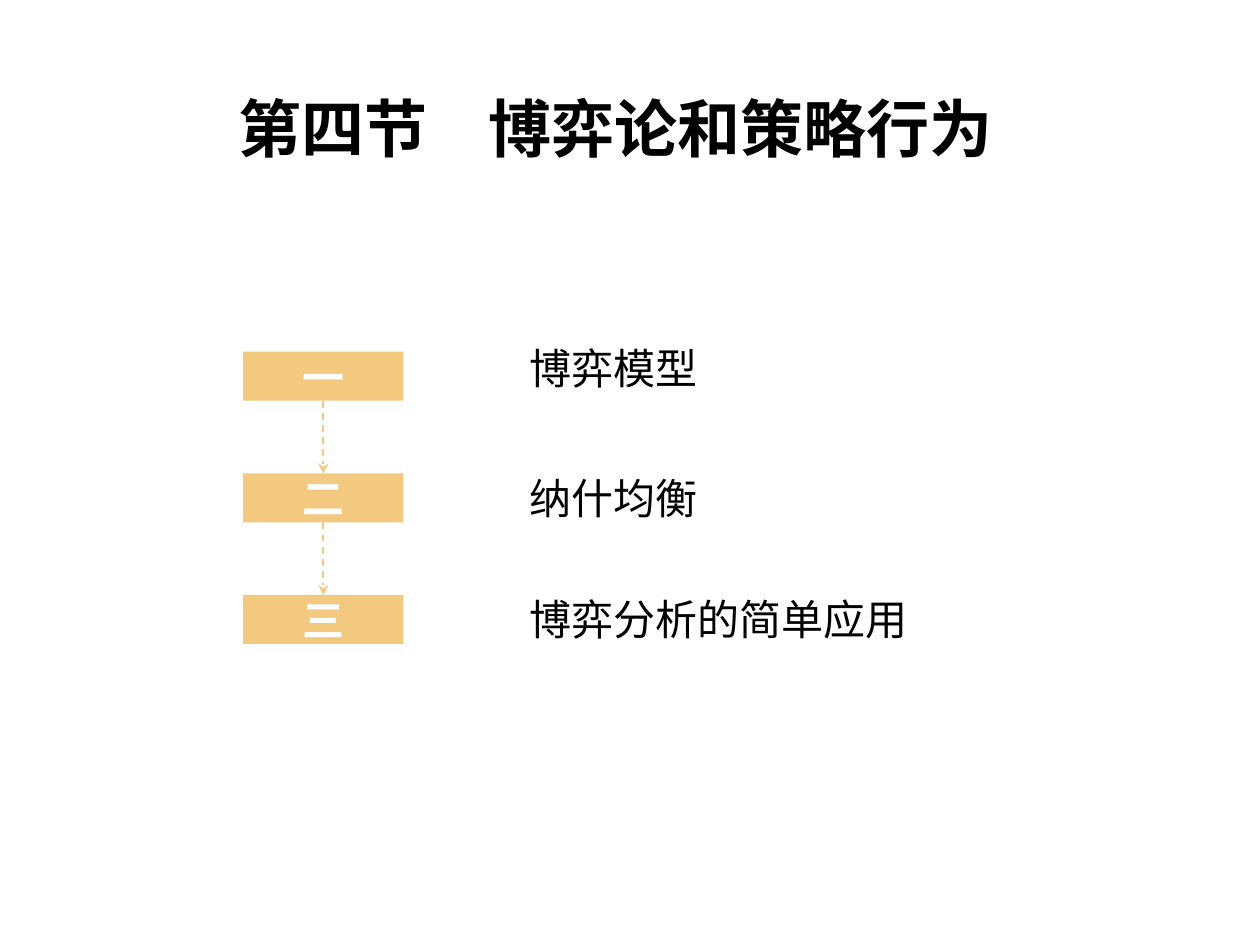
from lxml.etree import SubElement
from pptx import Presentation
from pptx.dml.color import RGBColor
from pptx.enum.dml import MSO_LINE
from pptx.enum.shapes import MSO_CONNECTOR, MSO_SHAPE
from pptx.enum.text import MSO_ANCHOR, MSO_AUTO_SIZE, PP_ALIGN
from pptx.oxml.ns import qn
from pptx.util import Pt

FONT = "Noto Sans CJK SC"
GOLD = "F3C97F"
TOPICS = [("一", "博弈模型", 192), ("二", "纳什均衡", 266.5), ("三", "博弈分析的简单应用", 335.5)]


def tint(form, color):
    form.rgb = RGBColor.from_string(color)


def write(frame, text, size=24, color="000000", bold=False, align=PP_ALIGN.LEFT, space=0, hang=0):
    para = frame.paragraphs[0]
    para.alignment = align
    if hang:
        props = para._p.get_or_add_pPr()
        props.set("marL", str(Pt(hang)))
        props.set("indent", str(-Pt(hang)))
    run = para.add_run()
    run.text = text
    font = run.font
    font.size, font.bold, font.name = Pt(size), bold, FONT
    tint(font.color, color)
    props = run._r.get_or_add_rPr()
    SubElement(props, qn("a:ea"), typeface=FONT)
    if space:
        props.set("spc", str(int(space * 100)))


def add_text(slide, text, left, top, width, height, wrap=True, **style):
    box = slide.shapes.add_textbox(Pt(left), Pt(top), Pt(width), Pt(height))
    frame = box.text_frame
    frame.word_wrap = wrap
    if not wrap:
        frame.auto_size = MSO_AUTO_SIZE.SHAPE_TO_FIT_TEXT
    write(frame, text, **style)


def add_box(slide, text, top):
    box = slide.shapes.add_shape(MSO_SHAPE.RECTANGLE, Pt(139), Pt(top), Pt(91.5), Pt(28))
    box.shadow.inherit = False
    box.fill.solid()
    tint(box.fill.fore_color, GOLD)
    box.line.fill.background()
    box.text_frame.vertical_anchor = MSO_ANCHOR.MIDDLE
    write(box.text_frame, text, color="FFFFFF", bold=True, align=PP_ALIGN.CENTER, space=1.5)
    return box


def add_link(slide, start, end):
    link = slide.shapes.add_connector(MSO_CONNECTOR.STRAIGHT, 0, 0, 0, 0)
    link.begin_connect(start, 2)
    link.end_connect(end, 0)
    tint(link.line.color, GOLD)
    link.line.width = Pt(1)
    link.line.dash_style = MSO_LINE.DASH
    SubElement(link.line._get_or_add_ln(), qn("a:tailEnd"), type="stealth")
    SubElement(link._element.spPr, qn("a:effectLst"))


def main():
    deck = Presentation()
    deck.slide_width, deck.slide_height = Pt(720), Pt(540)
    slide = deck.slides.add_slide(deck.slide_layouts[6])
    add_text(slide, "第四节\t 博弈论和策略行为", 116, 47.5, 471.5, 62.5,
             size=36, bold=True, align=PP_ALIGN.CENTER, hang=27)
    last = None
    for row, (mark, topic, top) in enumerate(TOPICS):
        box = add_box(slide, mark, 201 + 69.5 * row)
        if last:
            add_link(slide, last, box)
        last = box
        add_text(slide, topic, 295.5, top, 24 * len(topic) + 16, 36, wrap=False)
    deck.save("out.pptx")


if __name__ == "__main__":
    main()
